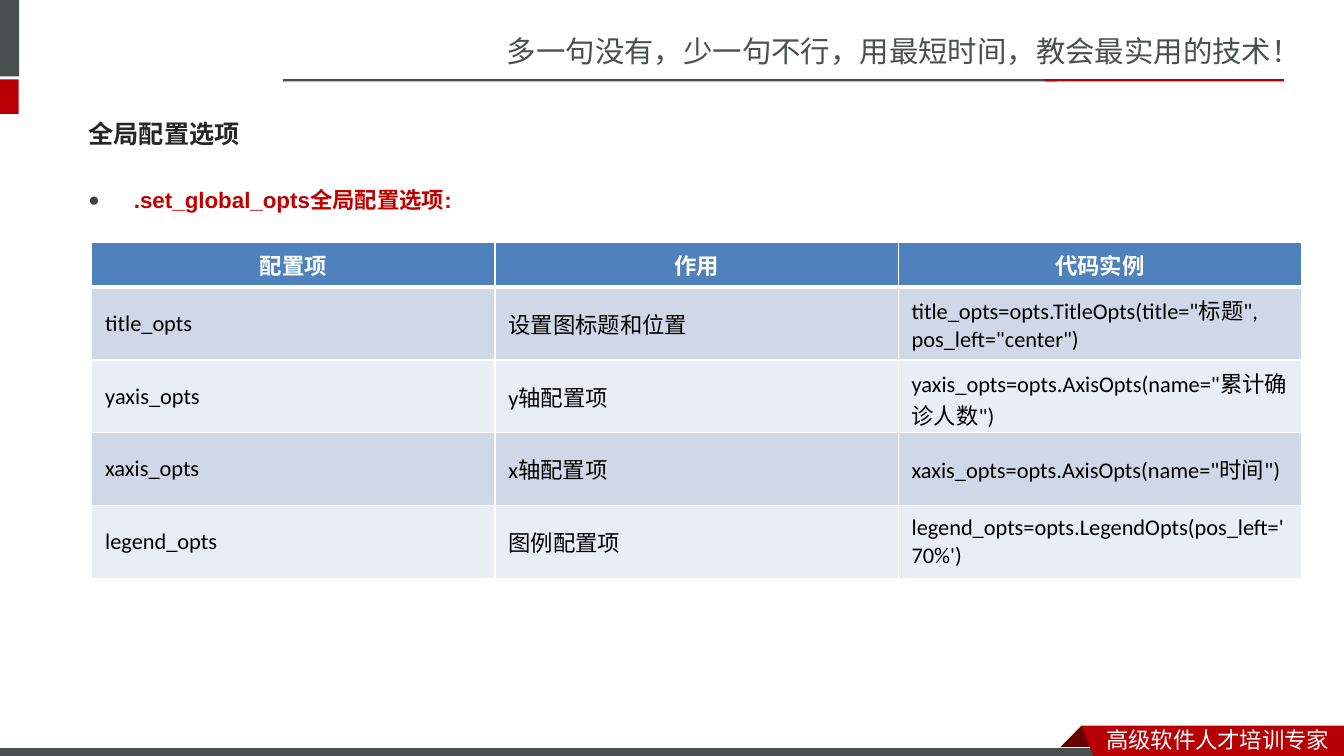
from lxml.etree import SubElement
from pptx import Presentation
from pptx.dml.color import RGBColor
from pptx.enum.shapes import MSO_SHAPE as Preset
from pptx.enum.text import MSO_ANCHOR as Anchor, MSO_AUTO_SIZE as AutoSize, PP_ALIGN as Align
from pptx.oxml.ns import qn
from pptx.util import Pt

GRAY, RED, DARK_RED, WHITE = "49504F", "B60004", "680000", "FFFFFF"
HEADER_BLUE, BANDS = "4F81BD", ("D0D8E8", "E9EDF4")

OPTIONS = [
    ("配置项", "作用", "代码实例"),
    ("title_opts", "设置图标题和位置", 'title_opts=opts.TitleOpts(title="标题", pos_left="center")'),
    ("yaxis_opts", "y轴配置项", 'yaxis_opts=opts.AxisOpts(name="累计确诊人数")'),
    ("xaxis_opts", "x轴配置项", 'xaxis_opts=opts.AxisOpts(name="时间")'),
    ("legend_opts", "图例配置项", "legend_opts=opts.LegendOpts(pos_left='70%')"),
]


def rgb(code):
    return RGBColor.from_string(code)


class SlideBuilder:
    """Holds the text style and the slide, and adds each kind of element."""

    east_asian = "Noto Sans CJK SC"

    def __init__(self, slide):
        self.slide = slide
        self.shapes = slide.shapes

    def set_text(self, frame, text, size, color, font, bold=False, align=Align.LEFT):
        frame.text = text
        paragraph = frame.paragraphs[0]
        paragraph.alignment = align
        style = paragraph.font
        style.size, style.bold, style.name = Pt(size), bold, font
        style.color.rgb = rgb(color)
        for run in paragraph.runs:
            SubElement(run._r.get_or_add_rPr(), qn("a:ea"), typeface=self.east_asian)
        return paragraph

    def paint(self, shape, fill, line=None):
        shape.shadow.inherit = False
        shape.fill.solid()
        shape.fill.fore_color.rgb = rgb(fill)
        if line:
            shape.line.color.rgb = rgb(line)
            shape.line.width = Pt(0.75)
        else:
            shape.line.fill.background()

    def bar(self, left, top, width, height, fill, line=None):
        box = map(Pt, (left, top, width, height))
        self.paint(self.shapes.add_shape(Preset.RECTANGLE, *box), fill, line)

    def polygon(self, points, fill):
        start, *rest = [(Pt(x), Pt(y)) for x, y in points]
        outline = self.shapes.build_freeform(*start)
        outline.add_line_segments(rest)
        self.paint(outline.convert_to_shape(), fill)

    def label(self, left, top, width, height, text, size, color):
        frame = self.shapes.add_textbox(*map(Pt, (left, top, width, height))).text_frame
        frame.word_wrap = True
        self.set_text(frame, text, size, color, self.east_asian)

    def placeholder(self, holder, box, anchor, text, size, color, font):
        holder.left, holder.top, holder.width, holder.height = map(Pt, box)
        frame = holder.text_frame
        frame.auto_size, frame.vertical_anchor = AutoSize.NONE, anchor
        paragraph = self.set_text(frame, text, size, color, font, bold=True)
        paragraph.space_before = Pt(size * 0.2)
        return paragraph

    def bullet(self, paragraph, char, color, percent, indent):
        paragraph.line_spacing = 1.5
        props = paragraph._p.get_or_add_pPr()
        props.set("marL", str(Pt(indent)))
        props.set("indent", str(-Pt(indent)))
        marks = [
            ("a:buClr", {}),
            ("a:buSzPct", {"val": str(percent * 1000)}),
            ("a:buFont", {"typeface": "Arial"}),
            ("a:buChar", {"char": char}),
        ]
        run_defaults = props.find(qn("a:defRPr"))
        for tag, attributes in marks:
            mark = props.makeelement(qn(tag), attributes)
            run_defaults.addprevious(mark)
            if tag == "a:buClr":
                SubElement(mark, qn("a:srgbClr"), val=color)

    def borders(self, cell, bottom):
        props = cell._tc.get_or_add_tcPr()
        widths = {"a:lnL": 1, "a:lnR": 1, "a:lnT": 1, "a:lnB": bottom}
        for position, (tag, width) in enumerate(widths.items()):
            line = props.makeelement(qn(tag), {"w": str(Pt(width))})
            SubElement(SubElement(line, qn("a:solidFill")), qn("a:srgbClr"), val=WHITE)
            props.insert(position, line)

    def table(self, left, top, width, heights, rows):
        box = map(Pt, (left, top, width, sum(heights)))
        grid = self.shapes.add_table(len(rows), len(rows[0]), *box).table
        for r, (height, row) in enumerate(zip(heights, rows)):
            grid.rows[r].height = Pt(height)
            header = r == 0
            for c, text in enumerate(row):
                cell = grid.cell(r, c)
                cell.vertical_anchor = Anchor.MIDDLE
                cell.margin_left = cell.margin_right = Pt(9.6)
                cell.margin_top = cell.margin_bottom = Pt(4.5)
                cell.fill.solid()
                cell.fill.fore_color.rgb = rgb(HEADER_BLUE if header else BANDS[(r - 1) % 2])
                self.set_text(cell.text_frame, text, 16, WHITE if header else "000000", "Calibri",
                              header, Align.CENTER if header else Align.LEFT)
                self.borders(cell, 3 if header else 1)


def main():
    deck = Presentation()
    deck.slide_width, deck.slide_height = Pt(960), Pt(540)
    page = SlideBuilder(deck.slides.add_slide(deck.slide_layouts[1]))

    page.label(355, 20, 605, 34, "多一句没有，少一句不行，用最短时间，教会最实用的技术！", 21, GRAY)
    page.bar(-4, 0, 17.6, 54.6, GRAY)
    page.bar(-4, 56.8, 17.3, 24.6, RED)
    page.bar(202, 56.6, 553, 1.6, GRAY)
    page.bar(746.5, 56.6, 170.5, 1.6, RED)

    page.polygon([(772.5, 518.4), (788.5, 534.4), (788, 535), (757.2, 535), (756.7, 534.4)], DARK_RED)
    page.bar(-1, 533.8, 792, 8.4, GRAY, WHITE)
    page.polygon([(772.5, 518.4), (960, 518.4), (960, 542.6), (782, 542.2)], RED)
    page.label(783, 514.8, 177, 26.6, "高级软件人才培训专家", 16, WHITE)

    heading, body = page.slide.placeholders
    page.placeholder(heading, (56, 75, 847, 41), Anchor.MIDDLE,
                     "全局配置选项", 18, "262626", "Noto Sans CJK JP")
    intro = page.placeholder(body, (56, 120, 847, 332), Anchor.TOP,
                             " .set_global_opts全局配置选项:", 16, "C00000", "Arial")
    page.bullet(intro, "●", "404040", 85, 28)
    page.table(65.6, 173.2, 864, [32] + [52] * 4, OPTIONS)

    deck.save("out.pptx")


if __name__ == "__main__":
    main()
